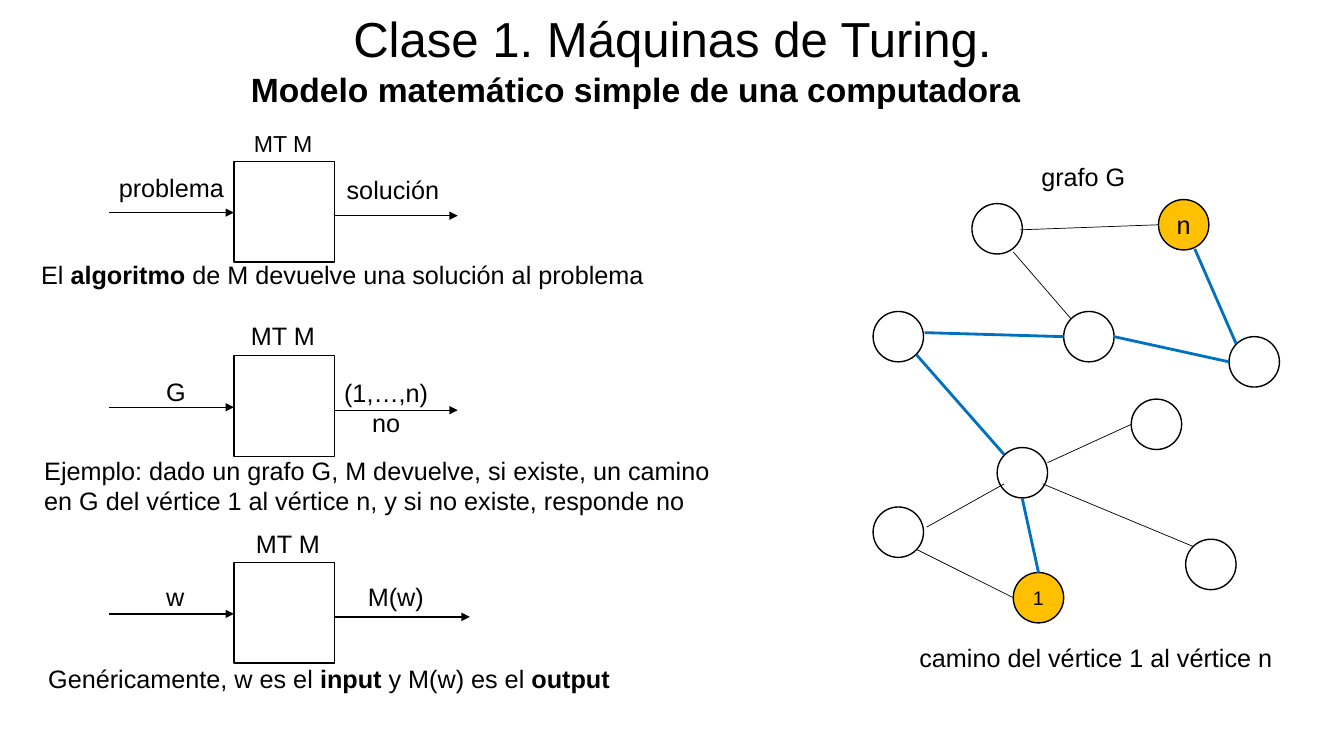
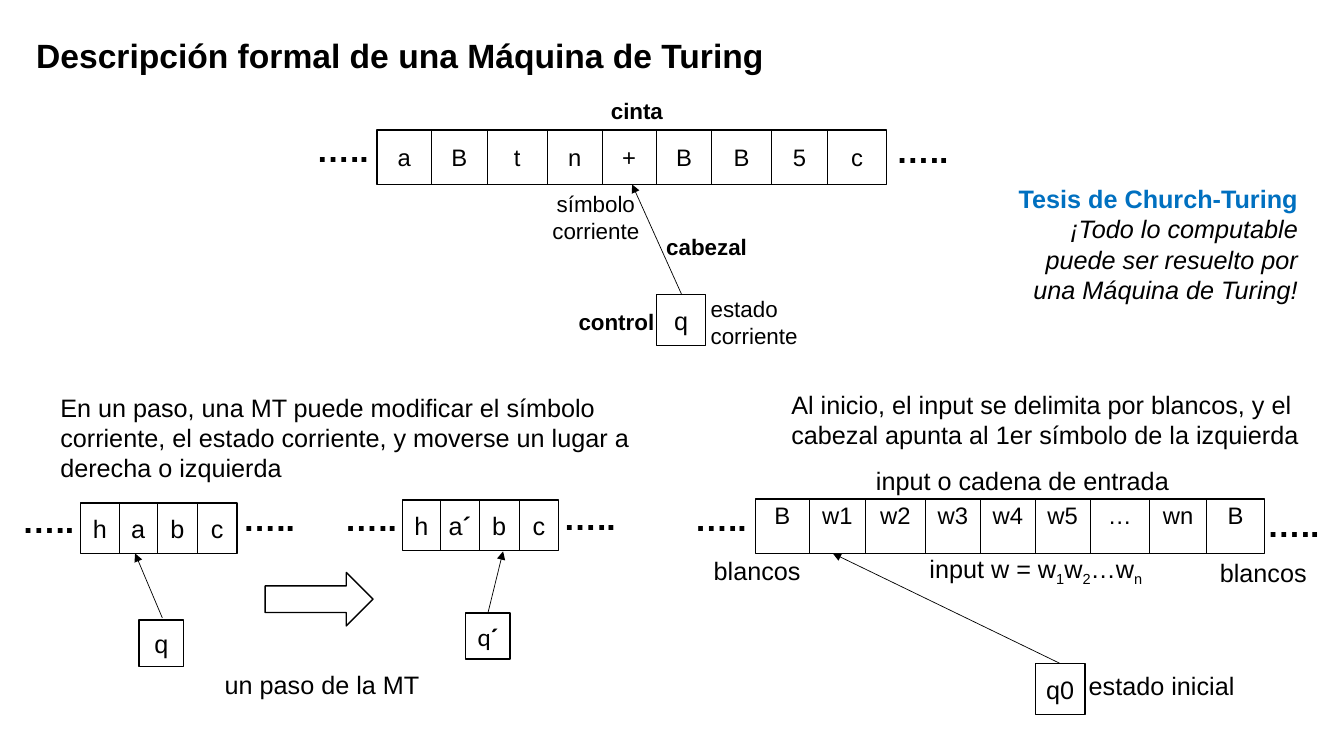
"""Build two slides that introduce Turing machines."""
import itertools
from dataclasses import dataclass
from typing import Optional

import lxml.etree
import pptx
import pptx.dml.color
import pptx.enum.shapes
import pptx.enum.text
import pptx.oxml.ns
import pptx.shapes.autoshape
import pptx.shapes.connector
import pptx.slide
import pptx.text.text
import pptx.util

Inches = pptx.util.Inches
Pt = pptx.util.Pt
RGB = pptx.dml.color.RGBColor
Align = pptx.enum.text.PP_ALIGN
Anchor = pptx.enum.text.MSO_ANCHOR
Preset = pptx.enum.shapes.MSO_SHAPE
qn = pptx.oxml.ns.qn


@dataclass(frozen=True)
class Theme:
    ink: RGB = RGB(0, 0, 0)
    accent: RGB = RGB(0x00, 0x70, 0xC0)
    endpoint: RGB = RGB(0xFF, 0xC0, 0x00)
    paper: RGB = RGB(0xFF, 0xFF, 0xFF)
    font: str = "Arial"
    state_font: str = "Calibri"
    title: float = 35.1
    heading: float = 24
    body: float = 18
    symbol: float = 17
    caption: float = 16
    small: float = 14
    thin: float = 0.5
    outline: float = 1
    path_width: float = 2


THEME = Theme()


@dataclass(frozen=True)
class Label:
    text: str
    left: float
    top: float
    width: float
    height: float = 0.4
    size: float = THEME.body
    bold: bool = False
    italic: bool = False
    align: Align = Align.LEFT
    wrap: bool = True
    middle: bool = False
    spacing: Optional[float] = None


@dataclass(frozen=True)
class Box:
    left: float
    top: float
    width: float
    height: float
    kind: Preset = Preset.RECTANGLE
    text: str = ""
    size: float = THEME.body
    font: str = THEME.font
    fill: Optional[RGB] = None


@dataclass(frozen=True)
class Line:
    x1: float
    y1: float
    x2: float
    y2: float
    width: float = THEME.thin
    color: RGB = THEME.ink
    arrow: bool = False


@dataclass(frozen=True)
class Machine:
    top: float
    output_end: float


@dataclass(frozen=True)
class Tape:
    left: float
    top: float
    width: float
    height: float
    symbols: tuple[str, ...]
    dividers: tuple[float, ...]
    dots: tuple[tuple[float, float], ...]
    size: float = THEME.body
    lift: float = 0


def write(frame: pptx.text.text.TextFrame, text: str, size: float, font: str = THEME.font,
          bold: bool = False, italic: bool = False, align: Align = Align.LEFT,
          spacing: Optional[float] = None) -> None:
    """Write lines of text, where * toggles bold and ~ toggles subscript."""
    for index, line in enumerate(text.split("\n")):
        paragraph = frame.paragraphs[0] if index == 0 else frame.add_paragraph()
        paragraph.alignment = align
        if spacing:
            paragraph.line_spacing = spacing
        style = paragraph.font
        style.name, style.size, style.bold, style.italic = font, Pt(size), bold, italic
        style.color.rgb = THEME.ink
        for i, part in enumerate(line.split("*")):
            for j, piece in enumerate(part.split("~")):
                if not piece:
                    continue
                run = paragraph.add_run()
                run.text = piece
                if i % 2:
                    run.font.bold = True
                if j % 2:
                    run.font._element.set("baseline", "-25000")


def draw_label(slide: pptx.slide.Slide, label: Label) -> pptx.text.text.TextFrame:
    """Draw a text box and return its text frame."""
    frame = slide.shapes.add_textbox(Inches(label.left), Inches(label.top),
                                     Inches(label.width), Inches(label.height)).text_frame
    frame.word_wrap = label.wrap
    frame.vertical_anchor = Anchor.MIDDLE if label.middle else Anchor.TOP
    write(frame, label.text, label.size, bold=label.bold, italic=label.italic,
          align=label.align, spacing=label.spacing)
    return frame


def draw_box(slide: pptx.slide.Slide, box: Box) -> pptx.shapes.autoshape.Shape:
    """Draw an outlined shape with centred text."""
    shape = slide.shapes.add_shape(box.kind, Inches(box.left), Inches(box.top),
                                   Inches(box.width), Inches(box.height))
    shape.shadow.inherit = False
    if box.fill is None:
        shape.fill.background()
    else:
        shape.fill.solid()
        shape.fill.fore_color.rgb = box.fill
    shape.line.color.rgb = THEME.ink
    shape.line.width = Pt(THEME.outline)
    frame = shape.text_frame
    frame.margin_left = frame.margin_right = frame.margin_top = frame.margin_bottom = 0
    frame.vertical_anchor = Anchor.MIDDLE
    if box.text:
        write(frame, box.text, box.size, box.font, align=Align.CENTER)
    return shape


def draw_line(slide: pptx.slide.Slide, line: Line) -> None:
    """Draw a straight line, with an arrowhead at its end if asked."""
    connector = slide.shapes.add_connector(
        pptx.enum.shapes.MSO_CONNECTOR.STRAIGHT, Inches(line.x1), Inches(line.y1),
        Inches(line.x2), Inches(line.y2))
    connector.line.color.rgb = line.color
    connector.line.width = Pt(line.width)
    if line.arrow:
        lxml.etree.SubElement(connector.line._get_or_add_ln(), qn("a:tailEnd"), type="triangle")
    lxml.etree.SubElement(connector._element.spPr, qn("a:effectLst"))


def draw_machine(slide: pptx.slide.Slide, machine: Machine) -> None:
    """Draw a machine box with its input and output arrows."""
    left, side = 2.32, 1
    draw_box(slide, Box(left, machine.top, side, side))
    for start, end, drop in ((1.08, left, 0.51), (left + side, machine.output_end, 0.54)):
        y = machine.top + drop
        draw_line(slide, Line(start, y, end, y, THEME.outline, arrow=True))


def draw_tape(slide: pptx.slide.Slide, tape: Tape) -> None:
    """Draw a tape with one symbol centred in each cell and dots at both ends."""
    frame = draw_box(slide, Box(tape.left, tape.top, tape.width, tape.height)).text_frame
    frame.margin_bottom = Inches(tape.lift)
    write(frame, "".join("\t" + symbol for symbol in tape.symbols), tape.size)
    tabs = lxml.etree.Element(qn("a:tabLst"))
    edges = (tape.left, *tape.dividers, tape.left + tape.width)
    for start, end in itertools.pairwise(edges):
        centre = Inches((start + end) / 2 - tape.left)
        lxml.etree.SubElement(tabs, qn("a:tab"), pos=str(int(centre)), algn="ctr")
    frame.paragraphs[0]._p.get_or_add_pPr().insert(0, tabs)
    for x in tape.dividers:
        draw_line(slide, Line(x, tape.top, x, tape.top + tape.height))
    for left, top in tape.dots:
        draw_label(slide, Label("…..", left, top, 0.82, 0.5, THEME.heading, bold=True))


MACHINES = (Machine(1.6, 4.54), Machine(3.53, 4.54), Machine(5.58, 4.66))
MODEL_LABELS = (
    Label("Clase 1. Máquinas de Turing.", 0.01, 0.06, 13.32, 0.71, THEME.title,
          align=Align.CENTER, middle=True, spacing=0.9),
    Label("Modelo matemático simple de una computadora", 2.39, 0.63, 8.31, 0.5,
          THEME.heading, bold=True),
    Label("problema", 1.08, 1.73, 1.37, 0.33, middle=True, spacing=0.7),
    Label("solución", 3.34, 1.75, 1.37, 0.33, middle=True, spacing=0.7),
    Label("MT M", 2.42, 1.27, 0.9, 0.35, 16.5, middle=True, spacing=0.8),
    Label("El *algoritmo* de M devuelve una solución al problema", 0.31, 2.52, 6.89),
    Label("MT M", 2.39, 3.13, 0.84, wrap=False),
    Label("G", 1.55, 3.68, 0.4, wrap=False),
    Label("(1,…,n)\nno", 3.31, 3.69, 1.04, 0.71, align=Align.CENTER, wrap=False),
    Label("Ejemplo: dado un grafo G, M devuelve, si existe, un camino en G del vértice 1 "
          "al vértice n, y si no existe, responde no", 0.34, 4.47, 6.89, 0.71),
    Label("MT M", 2.44, 5.19, 0.84, wrap=False),
    Label("w", 1.55, 5.72, 0.38, wrap=False),
    Label("M(w)", 3.55, 5.72, 0.83),
    Label("Genéricamente, w es el *input* y M(w) es el *output*", 0.38, 6.53, 7.21),
    Label("grafo G", 10.23, 1.55, 1.04, wrap=False),
    Label("camino del vértice 1 al vértice n", 9.02, 6.32, 3.84),
)
VERTICES = ((10.55, 3.09), (8.66, 3.09), (9.89, 4.44), (9.64, 2.02), (12.19, 3.34),
            (8.66, 5.03), (11.76, 5.35), (11.22, 3.96))
ENDPOINTS = ((11.49, 1.98, "n", THEME.body), (10.05, 5.68, "1", THEME.small))
OTHER_EDGES = ((9.09, 5.45, 10.05, 5.93), (9.19, 5.23, 9.96, 4.8), (10.34, 4.8, 11.83, 5.42),
               (10.12, 2.28, 11.49, 2.23), (10.05, 2.5, 10.62, 3.16), (10.39, 4.59, 11.22, 4.21))
ROUTE_EDGES = ((9.09, 3.52, 9.96, 4.51), (10.14, 4.95, 10.3, 5.68), (11.05, 3.34, 12.19, 3.59),
               (9.17, 3.3, 10.55, 3.34), (11.85, 2.47, 12.26, 3.41))

FORMAL_LABELS = (
    Label("Descripción formal de una Máquina de Turing", 0.26, 0.3, 7.59, 0.5,
          THEME.heading, bold=True),
    Label("cinta", 5.96, 0.91, 0.79, 0.37, THEME.caption, bold=True),
    Label("cabezal", 6.51, 2.26, 1.14, 0.37, THEME.caption, bold=True),
    Label("control", 5.64, 3.01, 0.96, 0.37, THEME.caption, bold=True, wrap=False),
    Label("símbolo\ncorriente", 5.36, 1.84, 1.1, 0.64, THEME.caption, align=Align.CENTER),
    Label("estado corriente", 6.95, 2.88, 1.21, 0.64, THEME.caption),
    Label("En un paso, una MT puede modificar el símbolo corriente, el estado corriente, "
          "y moverse un lugar a derecha o izquierda", 0.5, 3.84, 6.6, 1.01),
    Label("un paso de la MT", 2.13, 6.59, 2.15),
    Label("Al inicio, el input se delimita por blancos, y el cabezal apunta al 1er símbolo "
          "de la izquierda", 7.75, 3.81, 5.39, 0.71),
    Label("input o cadena de entrada", 8.59, 4.57, 3.26),
    Label("blancos", 12, 5.48, 1.07, wrap=False),
    Label("blancos", 6.98, 5.46, 1.07, wrap=False),
    Label("input w = w~1~w~2~…w~n~", 9.12, 5.44, 2.38),
    Label("estado inicial", 10.7, 6.6, 1.73),
)
THESIS = Label("Tesis de Church-Turing\n¡Todo lo computable puede ser resuelto por una "
               "Máquina de Turing!", 9.88, 1.77, 3.09, 1.31, italic=True, align=Align.RIGHT)
TAPES = (
    Tape(3.74, 1.29, 5.05, 0.54, ("a", "B", "t", "n", "+", "B", "B", "5", "c"),
         (4.28, 4.83, 5.43, 5.97, 6.51, 7.06, 7.65, 8.21),
         ((3.04, 1.23), (8.79, 1.24)), THEME.symbol),
    Tape(0.8, 4.99, 1.55, 0.5, ("h", "a", "b", "c"), (1.18, 1.56, 1.96),
         ((0.12, 4.91), (2.31, 4.89))),
    Tape(3.99, 4.96, 1.55, 0.5, ("h", "a*´*", "b", "c"), (4.37, 4.75, 5.15),
         ((3.32, 4.89), (5.49, 4.88))),
    Tape(7.49, 4.95, 5.05, 0.54, ("B", "w1", "w2", "w3", "w4", "w5", "…", "wn", "B"),
         (8.03, 8.58, 9.18, 9.72, 10.27, 10.81, 11.4, 11.97),
         ((6.79, 4.89), (12.47, 4.95)), THEME.symbol, lift=0.22),
)
PROCESS = Preset.FLOWCHART_PROCESS
STATES = (
    Box(6.51, 2.92, 0.49, 0.51, PROCESS, "q"),
    Box(1.38, 6.15, 0.44, 0.46, PROCESS, "q"),
    Box(4.62, 6.08, 0.44, 0.46, PROCESS, "q*´*", font=THEME.state_font),
    Box(10.27, 6.58, 0.49, 0.51, PROCESS, "q0"),
    Box(2.63, 5.68, 1.07, 0.53, Preset.RIGHT_ARROW),
)
HEADS = ((6.76, 2.92, 6.27, 1.83), (1.61, 6.13, 1.34, 5.49),
         (4.84, 6.08, 4.99, 5.47), (10.51, 6.58, 8.26, 5.49))


def build_model(slide: pptx.slide.Slide) -> None:
    """Build the slide on the machine as a model of a computer."""
    for machine in MACHINES:
        draw_machine(slide, machine)
    for left, top in VERTICES:
        draw_box(slide, Box(left, top, 0.5, 0.5, Preset.FLOWCHART_CONNECTOR, fill=THEME.paper))
    for left, top, name, size in ENDPOINTS:
        draw_box(slide, Box(left, top, 0.5, 0.5, Preset.FLOWCHART_CONNECTOR, name, size,
                            fill=THEME.endpoint))
    for edge in OTHER_EDGES:
        draw_line(slide, Line(*edge))
    for edge in ROUTE_EDGES:
        draw_line(slide, Line(*edge, THEME.path_width, THEME.accent))
    for label in MODEL_LABELS:
        draw_label(slide, label)


def build_formal(slide: pptx.slide.Slide) -> None:
    """Build the slide on the formal description of the machine."""
    for label in FORMAL_LABELS:
        draw_label(slide, label)
    thesis_name = draw_label(slide, THESIS).paragraphs[0].font
    thesis_name.bold, thesis_name.italic = True, False
    thesis_name.color.rgb = THEME.accent
    for tape in TAPES:
        draw_tape(slide, tape)
    for state in STATES:
        draw_box(slide, state)
    for head in HEADS:
        draw_line(slide, Line(*head, arrow=True))


deck = pptx.Presentation()
deck.slide_width, deck.slide_height = Inches(13.33), Inches(7.5)
for build in (build_model, build_formal):
    build(deck.slides.add_slide(deck.slide_layouts[6]))
deck.save("out.pptx")
